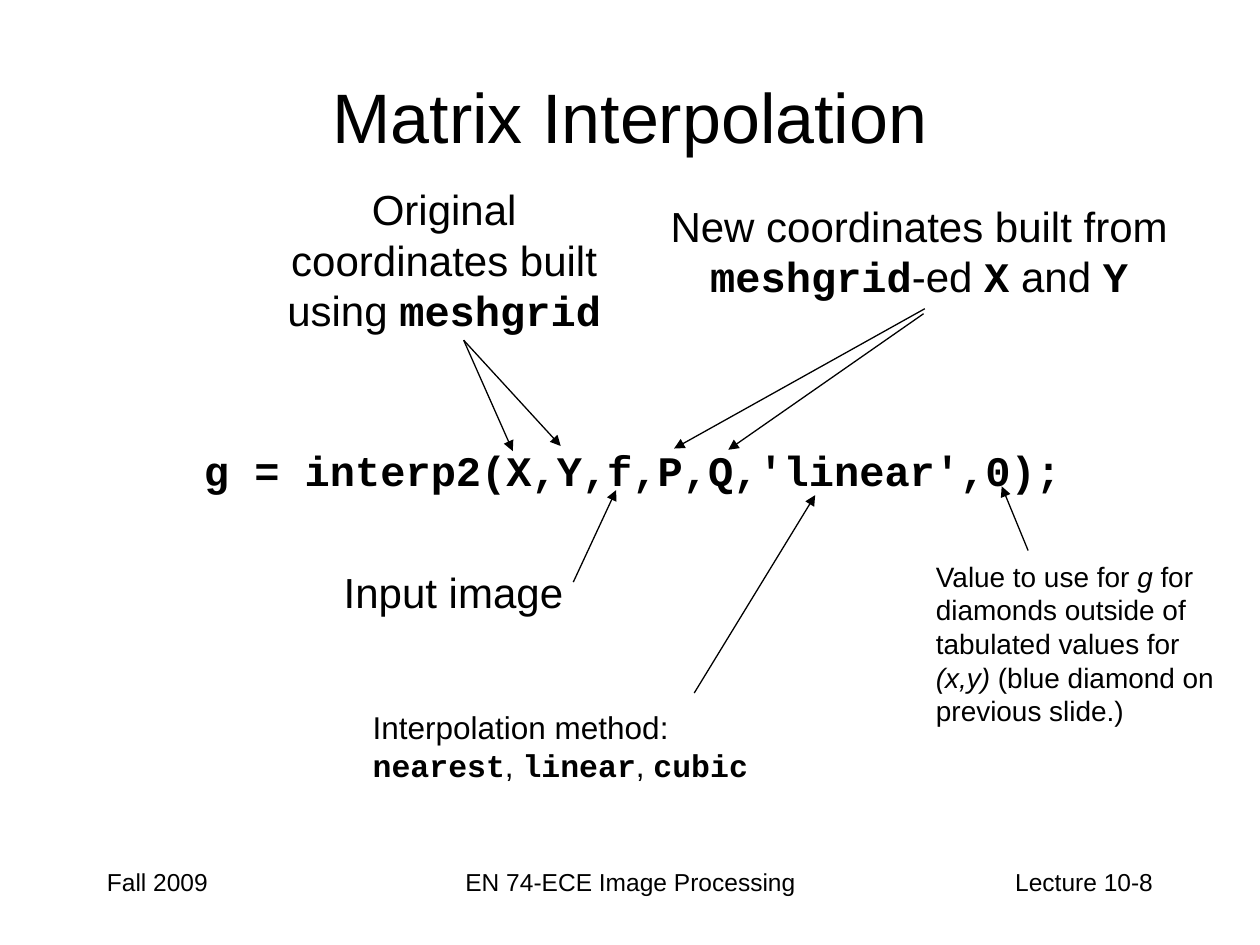
from lxml import etree
from pptx import Presentation
from pptx.dml.color import RGBColor
from pptx.enum import shapes, text
from pptx.oxml import ns
from pptx.util import Inches, Pt

BLACK = "000000"
LEFT, CENTER, RIGHT = text.PP_ALIGN.LEFT, text.PP_ALIGN.CENTER, text.PP_ALIGN.RIGHT


def color(hex_value):
    return RGBColor.from_string(hex_value)


def code(words):
    return words, "code"


def italic(words):
    return words, "italic"


def add_label(slide, box, parts, size, align=LEFT, wrap=True,
              anchor=text.MSO_ANCHOR.TOP):
    """Add one paragraph; each part is a plain string or a (words, style) pair."""
    tf = slide.shapes.add_textbox(*map(Inches, box)).text_frame
    tf.word_wrap = wrap
    tf.vertical_anchor = anchor
    p = tf.paragraphs[0]
    p.alignment = align
    for part in parts:
        words, style = (part, "plain") if isinstance(part, str) else part
        r = p.add_run()
        r.text = words
        r.font.size = Pt(size)
        r.font.name = "Courier New" if style == "code" else "Arial"
        r.font.bold = style == "code"
        r.font.italic = style == "italic"
        r.font.color.rgb = color(BLACK)


def add_arrow(slide, start, end):
    line = slide.shapes.add_connector(
        shapes.MSO_CONNECTOR.STRAIGHT, *map(Inches, start + end))
    line.line.color.rgb = color(BLACK)
    line.line.width = Pt(0.75)
    etree.SubElement(line.line._get_or_add_ln(), ns.qn("a:tailEnd"), type="triangle")
    etree.SubElement(line._element.spPr, ns.qn("a:effectLst"))


def add_footer(slide):
    for left, width, words, align in [
        (0.75, 2.08, "Fall 2009", LEFT),
        (3.42, 3.17, "EN 74-ECE Image Processing", CENTER),
        (7.17, 2.08, "Lecture 10-8", RIGHT),
    ]:
        add_label(slide, (left, 6.83, width, 0.5), [words], 14, align)


def add_callouts(slide):
    """Explain each argument of the call."""
    add_label(slide, (2.09, 1.41, 2.87, 1.3),
              ["Original coordinates built using ", code("meshgrid")], 24, CENTER)
    add_label(slide, (5.18, 1.54, 4.23, 0.9),
              ["New coordinates built from ", code("meshgrid"), "-ed ",
               code("X"), " and ", code("Y")], 24, CENTER)
    add_label(slide, (2.63, 4.45, 2.03, 0.5), ["Input image"], 24)
    add_label(slide, (2.86, 5.57, 3.43, 0.7),
              ["Interpolation method: ", code("nearest"), ", ",
               code("linear"), ", ", code("cubic")], 18)
    add_label(slide, (7.33, 4.39, 2.48, 1.44),
              ["Value to use for ", italic("g"),
               " for diamonds outside of tabulated values for ",
               italic("(x,y)"), " (blue diamond on previous slide.)"], 16)

    for start, end in [
        ((3.68, 2.7), (4.07, 3.58)),
        ((3.68, 2.7), (4.45, 3.54)),
        ((7.34, 2.45), (5.35, 3.56)),
        ((7.33, 2.49), (5.78, 3.57)),
        ((4.55, 4.62), (4.89, 3.89)),
        ((5.51, 5.5), (6.47, 3.93)),
        ((8.16, 4.37), (7.95, 3.86)),
    ]:
        add_arrow(slide, start, end)


def main():
    prs = Presentation()
    prs.slide_width, prs.slide_height = Inches(10), Inches(7.5)
    slide = prs.slides.add_slide(prs.slide_layouts[6])
    add_footer(slide)
    add_label(slide, (0.75, 0.5, 8.5, 0.83), ["Matrix Interpolation"], 40, CENTER,
              anchor=text.MSO_ANCHOR.MIDDLE)
    add_label(slide, (1.52, 3.48, 7, 0.5),
              [code("g = interp2(X,Y,f,P,Q,'linear',0);")], 24, wrap=False)
    add_callouts(slide)
    prs.save("out.pptx")


if __name__ == "__main__":
    main()
